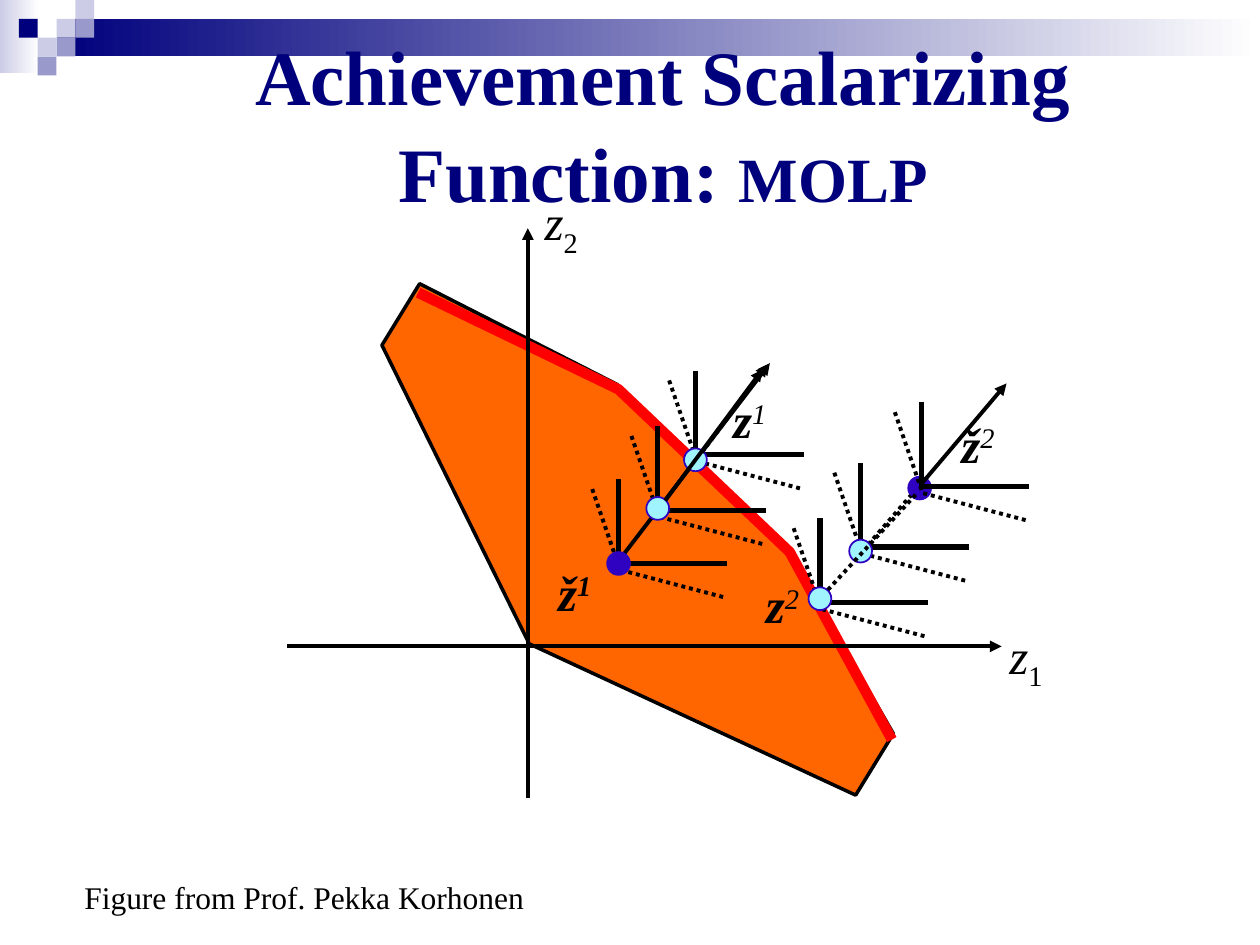
from dataclasses import dataclass

from lxml.etree import SubElement
from pptx import Presentation
from pptx.dml.color import RGBColor
from pptx.enum.dml import MSO_LINE
from pptx.enum.shapes import MSO_CONNECTOR, MSO_SHAPE
from pptx.enum.text import MSO_ANCHOR, PP_ALIGN
from pptx.oxml.ns import qn
from pptx.util import Cm, Pt


@dataclass(frozen=True)
class Theme:
    font: str = "Times New Roman"
    navy: str = "00007D"
    lilac: str = "9999CC"
    pale: str = "CCCCE6"
    white: str = "FFFFFF"
    black: str = "000000"
    orange: str = "FF6600"
    red: str = "FF0000"
    violet: str = "2F01C1"
    cyan: str = "9FF4FD"
    title: int = 44
    subtitle: int = 36
    label: int = 28
    caption: int = 18
    thin: float = 2.25
    thick: float = 3


T = Theme()


def rgb(code):
    return RGBColor.from_string(code)


def set_line(line, color, width, dash=None):
    line.color.rgb = rgb(color)
    line.width = Pt(width)
    if dash:
        line.dash_style = dash


def add_text(s, box, runs, inset=(0.25, 0.13), align=PP_ALIGN.LEFT,
             anchor=MSO_ANCHOR.TOP, spacing=None, wrap=True):
    """Each run is (text, format), with size, color, bold, italic, baseline."""
    tf = s.shapes.add_textbox(*map(Cm, box)).text_frame
    tf.word_wrap, tf.vertical_anchor = wrap, anchor
    tf.margin_left = tf.margin_right = Cm(inset[0])
    tf.margin_top = tf.margin_bottom = Cm(inset[1])
    p = tf.paragraphs[0]
    p.alignment, p.line_spacing = align, spacing
    for text, fmt in runs:
        r = p.add_run()
        r.text = text
        r.font.name, r.font.size = T.font, Pt(fmt["size"])
        r.font.color.rgb = rgb(fmt.get("color", T.black))
        r.font.bold = fmt.get("bold", False)
        r.font.italic = fmt.get("italic", False)
        if "baseline" in fmt:
            r._r.get_or_add_rPr().set("baseline", str(fmt["baseline"] * 1000))


def add_preset(s, kind, box, colors, outline=None):
    """One colour gives a solid fill, two a gradient from left to right."""
    sp = s.shapes.add_shape(kind, *map(Cm, box))
    sp.shadow.inherit = False
    if len(colors) == 1:
        sp.fill.solid()
        sp.fill.fore_color.rgb = rgb(colors[0])
    else:
        sp.fill.gradient()
        sp.fill.gradient_angle = 0
        for stop, color in zip(sp.fill.gradient_stops, colors):
            stop.color.rgb = rgb(color)
    if outline:
        set_line(sp.line, outline, 1)
    else:
        sp.line.fill.background()


def add_path(s, points, color, width, fill=None, dash=None):
    pts = [(Cm(x), Cm(y)) for x, y in points]
    fb = s.shapes.build_freeform(*pts[0])
    fb.add_line_segments(pts[1:], close=fill is not None)
    sp = fb.convert_to_shape()
    sp.shadow.inherit = False
    if fill:
        sp.fill.solid()
        sp.fill.fore_color.rgb = rgb(fill)
    else:
        sp.fill.background()
    set_line(sp.line, color, width, dash)


def add_line(s, start, end, arrow=True, dash=None):
    c = s.shapes.add_connector(MSO_CONNECTOR.STRAIGHT, *map(Cm, (*start, *end)))
    set_line(c.line, T.black, T.thin, dash)
    if arrow:
        SubElement(c.line._get_or_add_ln(), qn("a:tailEnd"), type="triangle")
    SubElement(c._element.spPr, qn("a:effectLst"))


def banner(s, left, top, width):
    cell = 0.38
    add_preset(s, MSO_SHAPE.RECTANGLE, (left, top, 0.79, 1.47), (T.pale, T.white))
    bar_left = left + 3 * cell
    add_preset(s, MSO_SHAPE.RECTANGLE,
               (bar_left, top + cell, left + width - bar_left, 2 * cell), (T.navy, T.white))
    # Checkerboard as column, row, colour
    for col, row, color in ((3, 1, T.pale), (4, 0, T.pale), (4, 1, T.lilac), (2, 2, T.pale),
                            (1, 1, T.navy), (3, 2, T.lilac), (2, 3, T.lilac)):
        add_preset(s, MSO_SHAPE.RECTANGLE,
                   (left + col * cell, top + row * cell, cell, cell), (color,))


def figure(s, left, top):
    def at(*points):
        return [(left + x, top + y) for x, y in points]

    def cone(x, y):
        add_path(s, at((x, y - 1.7), (x, y), (x + 2.18, y)), T.black, T.thick)
        add_path(s, at((x - 0.53, y - 1.5), (x + 0.03, y + 0.13), (x + 2.16, y + 0.69)),
                 T.black, T.thin, dash=MSO_LINE.ROUND_DOT)

    def dot(x, y, color):
        r = 0.23
        add_preset(s, MSO_SHAPE.OVAL, (left + x - r, top + y - r, 2 * r, 2 * r),
                   (color,), T.violet)

    def axis_label(x, y, sub):
        add_text(s, (left + x, top + y, 1.35, 1.3),
                 [("z", dict(size=T.label, italic=True)),
                  (sub, dict(size=T.label, baseline=-25))], inset=(0.03, 0.03))

    def point_label(x, y, name, sup, bold=False):
        add_text(s, (left + x, top + y, 1.63, 1.5),
                 [(name, dict(size=T.label, bold=True, italic=True)),
                  (sup, dict(size=T.label, bold=bold, italic=True, baseline=30))])

    # Feasible region and its efficient frontier
    add_path(s, at((1.91, 3.12), (2.67, 1.88), (6.65, 3.91), (10.01, 7.11),
                   (12.22, 10.95), (11.46, 12.19), (4.88, 9.14)), T.black, 2, fill=T.orange)
    add_path(s, at((2.64, 2.06), (6.68, 4.01), (10.13, 7.29), (12.19, 11.07)), T.red, 6)

    # Axes
    add_line(s, *at((4.85, 12.24), (4.85, 0.76)))
    add_line(s, *at((0, 9.19), (14.4, 9.19)))
    axis_label(14.53, 8.74, "1")
    axis_label(5.16, 0, "2")

    # Reference point outside the region
    point_label(13.34, 4.39, "ž", "2")
    dot(12.75, 6, T.violet)
    cone(12.78, 5.97)
    add_line(s, *at((12.78, 5.92), (14.5, 3.89)))
    add_line(s, *at((11.71, 7.14), (12.57, 6.15)), arrow=False, dash=MSO_LINE.ROUND_DOT)

    # Reference point inside the region
    add_line(s, *at((6.68, 7.47), (9.73, 3.48)))
    cone(6.68, 7.52)
    point_label(5.21, 7.37, "ž", "1", bold=True)
    dot(6.68, 7.52, T.violet)

    # Points along both projections: apex and vertical shift of the dot
    for x, y, shift in ((7.47, 6.45, -0.04), (8.23, 5.33, 0.1),
                        (10.74, 8.31, -0.08), (11.56, 7.19, 0.08)):
        cone(x, y)
        dot(x, y + shift, T.cyan)
    point_label(8.74, 3.89, "z", "1")
    point_label(9.4, 7.62, "z", "2")
    add_line(s, *at((10.9, 8.05), (12.7, 6.1)), arrow=False, dash=MSO_LINE.ROUND_DOT)
    add_line(s, *at((7.62, 6.25), (9.58, 3.61)))
    add_line(s, *at((8.36, 5.28), (9.68, 3.51)), dash=MSO_LINE.ROUND_DOT)


def main():
    prs = Presentation()
    prs.slide_width, prs.slide_height = Cm(25.4), Cm(19.05)
    s = prs.slides.add_slide(prs.slide_layouts[6])
    banner(s, 0, 0, 25.4)
    add_text(s, (1.96, 0.84, 22.81, 3.18),
             [("Achievement Scalarizing Function: ", dict(size=T.title, color=T.navy, bold=True)),
              ("MOLP", dict(size=T.subtitle, color=T.navy, bold=True))],
             align=PP_ALIGN.CENTER, anchor=MSO_ANCHOR.MIDDLE, spacing=1.05)
    figure(s, 5.79, 3.84)
    add_text(s, (1.45, 17.58, 9.37, 1.02),
             [("Figure from Prof. Pekka Korhonen", dict(size=T.caption))], wrap=False)
    prs.save("out.pptx")


if __name__ == "__main__":
    main()
